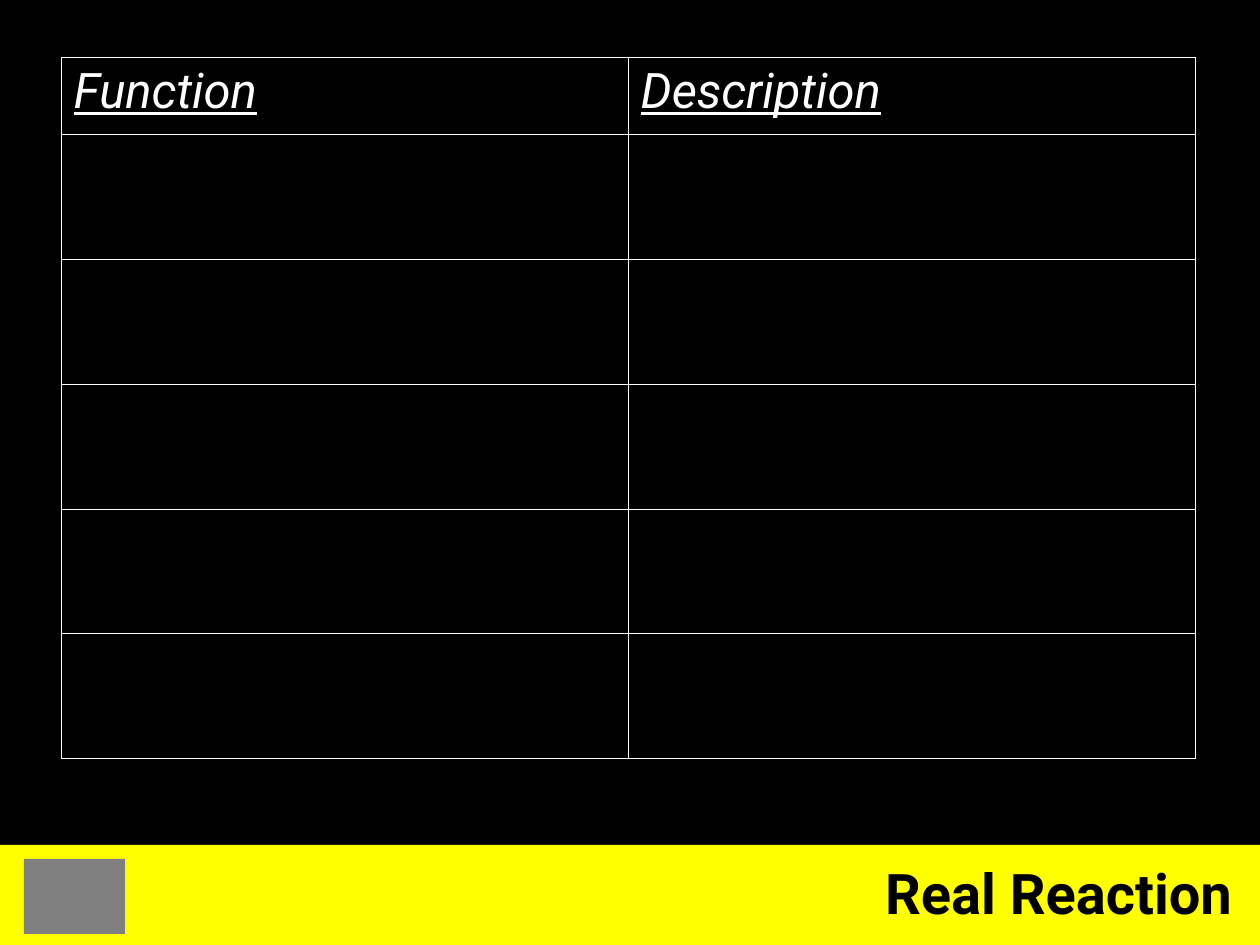
"""Builds the Real Reaction slide with its function and description table."""
from lxml import etree
from pptx import Presentation
from pptx.dml.color import RGBColor
from pptx.enum import shapes, text
from pptx.oxml import ns
from pptx.util import Pt

SCALE = 914400 / 126


def emu(*lengths):
    return [round(length * SCALE) for length in lengths]


def paint(color, value):
    color.rgb = RGBColor.from_string(value)


class Board:
    ink, paper, accent, muted = "FFFFFF", "000000", "FFFF00", "808080"
    typeface = "Roboto"

    def __init__(self, deck):
        self.slide = deck.slides.add_slide(deck.slide_layouts[5])
        backdrop = self.slide.background.fill
        backdrop.solid()
        paint(backdrop.fore_color, self.paper)

    def style(self, paragraph, size, color):
        font = paragraph.font
        font.name, font.size = self.typeface, Pt(size)
        paint(font.color, color)
        return font

    def block(self, box, color):
        block = self.slide.shapes.add_shape(shapes.MSO_SHAPE.RECTANGLE, *emu(*box))
        block.shadow.inherit = False
        block.fill.solid()
        paint(block.fill.fore_color, color)
        block.line.fill.background()
        return block

    def title(self, wording, box):
        title = self.slide.shapes.title
        title.left, title.top, title.width, title.height = emu(*box)
        frame = title.text_frame
        frame.text = wording
        frame.vertical_anchor = text.MSO_ANCHOR.MIDDLE
        paragraph = frame.paragraphs[0]
        paragraph.alignment = text.PP_ALIGN.RIGHT
        self.style(paragraph, 32, self.paper).bold = True
        self.slide.shapes._spTree.append(title._element)

    def border(self, cell):
        properties = cell._tc.get_or_add_tcPr()
        for side in ("a:lnL", "a:lnR", "a:lnT", "a:lnB"):
            line = etree.SubElement(properties, ns.qn(side), w=str(Pt(0.45)))
            fill = etree.SubElement(line, ns.qn("a:solidFill"))
            etree.SubElement(fill, ns.qn("a:srgbClr"), val=self.ink)

    def table(self, headings, corner, widths, heights):
        box = (*corner, sum(widths), sum(heights))
        grid = self.slide.shapes.add_table(len(heights), len(widths), *emu(*box)).table
        grid.first_row = grid.horz_banding = False
        for column, width in zip(grid.columns, emu(*widths)):
            column.width = width
        for row, height in zip(grid.rows, emu(*heights)):
            row.height = height
        for cell in grid.iter_cells():
            self.border(cell)
            cell.fill.background()
        for cell, heading in zip(grid.rows[0].cells, headings):
            cell.text = heading
            font = self.style(cell.text_frame.paragraphs[0], 28, self.ink)
            font.italic = font.underline = True


def main():
    deck = Presentation()
    deck.slide_width, deck.slide_height = emu(1260, 945)
    board = Board(deck)
    board.block((0, 845, 1260, 100), board.accent)
    board.block((24, 859, 101, 75), board.muted)
    board.title("Real Reaction", (630, 852, 615, 81))
    board.table(("Function", "Description"), (61, 57), [567] * 2, [77] + [125] * 5)
    deck.save("out.pptx")


if __name__ == "__main__":
    main()
